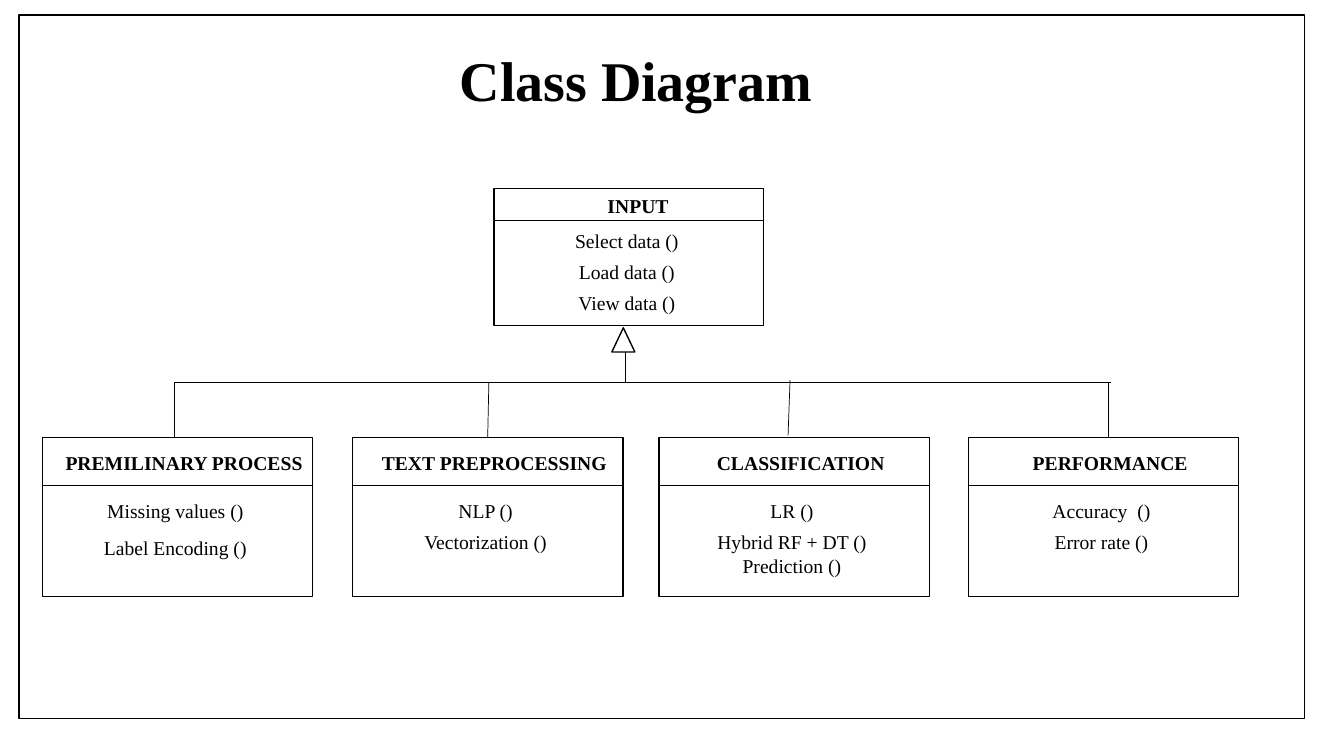
from pptx import Presentation
from pptx.dml.color import RGBColor
from pptx.enum.shapes import MSO_CONNECTOR, MSO_SHAPE
from pptx.enum.text import MSO_ANCHOR, MSO_AUTO_SIZE, PP_ALIGN
from pptx.oxml.ns import qn
from pptx.util import Cm, Pt
from lxml.etree import SubElement

FONT = "Times New Roman"
BLACK = "000000"
WHITE = "FFFFFF"

CHILD_TOP = 11.02
CHILD_WIDTH = 6.81
CHILD_HEIGHT = 4.01
BUS_TOP = 9.63

# left edge, heading, method boxes (lines of each), step between the boxes
CHILD_CLASSES = [
    (1.07, "PREMILINARY PROCESS", [["Missing values ()"], ["Label Encoding ()"]], 0.94),
    (8.89, "TEXT PREPROCESSING", [["NLP ()"], ["Vectorization ()"]], 0.79),
    (16.61, "CLASSIFICATION", [["LR ()"], ["Hybrid RF + DT ()", "Prediction ()"]], 0.79),
    (24.41, "PERFORMANCE", [["Accuracy  ()"], ["Error rate ()"]], 0.79),
]

# x1, y1, x2, y2
INHERITANCE_LINES = [
    (4.39, BUS_TOP, 4.39, CHILD_TOP),
    (27.94, BUS_TOP, 27.94, CHILD_TOP),
    (4.39, BUS_TOP, 27.99, BUS_TOP),
    (12.32, BUS_TOP, 12.29, CHILD_TOP),
    (19.91, 9.58, 19.86, 10.97),
    (15.75, 8.84, 15.75, BUS_TOP),
]


def color(hex_value):
    return RGBColor.from_string(hex_value)


def write_lines(frame, lines, size, bold=False):
    """Fill a text frame with one centred paragraph per line."""
    frame.word_wrap = True
    frame.vertical_anchor = MSO_ANCHOR.TOP
    for index, line in enumerate(lines):
        paragraph = frame.paragraphs[0] if index == 0 else frame.add_paragraph()
        paragraph.alignment = PP_ALIGN.CENTER
        run = paragraph.add_run()
        run.text = line
        run.font.name = FONT
        run.font.size = Pt(size)
        run.font.bold = bold
        run.font.color.rgb = color(BLACK)


def add_title(slide, text):
    title = slide.shapes.title
    title.left, title.top = Cm(2.01), Cm(1.02)
    title.width, title.height = Cm(28.04), Cm(1.96)
    title.text_frame.auto_size = MSO_AUTO_SIZE.NONE
    write_lines(title.text_frame, [text], 40, bold=True)


def add_text(slide, left, top, width, lines, bold=False):
    height = 0.86 if len(lines) == 1 else 1.45
    box = slide.shapes.add_textbox(Cm(left), Cm(top), Cm(width), Cm(height))
    write_lines(box.text_frame, lines, 14, bold)


def add_outline(slide, kind, left, top, width, height, fill=None):
    shape = slide.shapes.add_shape(kind, Cm(left), Cm(top), Cm(width), Cm(height))
    shape.shadow.inherit = False
    shape.line.color.rgb = color(BLACK)
    shape.line.width = Pt(1)
    if fill:
        shape.fill.solid()
        shape.fill.fore_color.rgb = color(fill)
    else:
        shape.fill.background()


def add_line(slide, x1, y1, x2, y2):
    line = slide.shapes.add_connector(
        MSO_CONNECTOR.STRAIGHT, Cm(x1), Cm(y1), Cm(x2), Cm(y2))
    line.line.color.rgb = color(BLACK)
    line.line.width = Pt(0.5)
    SubElement(line._element.spPr, qn("a:effectLst"))


def add_class(slide, left, top, width, height, divider, heading, heading_box,
              methods, methods_top, step):
    """Draw a class box; heading_box is (left, top, width) within the box."""
    add_outline(slide, MSO_SHAPE.RECTANGLE, left, top, width, height, WHITE)
    add_line(slide, left, top + divider, left + width, top + divider)
    heading_left, heading_top, heading_width = heading_box
    add_text(slide, left + heading_left, top + heading_top, heading_width,
             [heading], bold=True)
    for row, lines in enumerate(methods):
        add_text(slide, left + 0.38, top + methods_top + row * step, 5.94, lines)


def main():
    presentation = Presentation()
    presentation.slide_width, presentation.slide_height = Cm(33.87), Cm(19.05)
    slide = presentation.slides.add_slide(presentation.slide_layouts[5])

    add_title(slide, "Class Diagram")
    add_outline(slide, MSO_SHAPE.RECTANGLE, 0.48, 0.38, 32.39, 17.73)

    add_class(slide, 12.45, 4.75, 6.79, 3.45, 0.81, "INPUT", (0.66, 0, 5.94),
              [["Select data ()"], ["Load data ()"], ["View data ()"]], 0.89, 0.78)
    for left, heading, methods, step in CHILD_CLASSES:
        add_class(slide, left, CHILD_TOP, CHILD_WIDTH, CHILD_HEIGHT, 1.2, heading,
                  (0.33, 0.23, 6.48), methods, 1.42, step)

    for ends in INHERITANCE_LINES:
        add_line(slide, *ends)
    add_outline(slide, MSO_SHAPE.ISOSCELES_TRIANGLE, 15.42, 8.26, 0.58, 0.61, WHITE)

    presentation.save("out.pptx")


if __name__ == "__main__":
    main()
